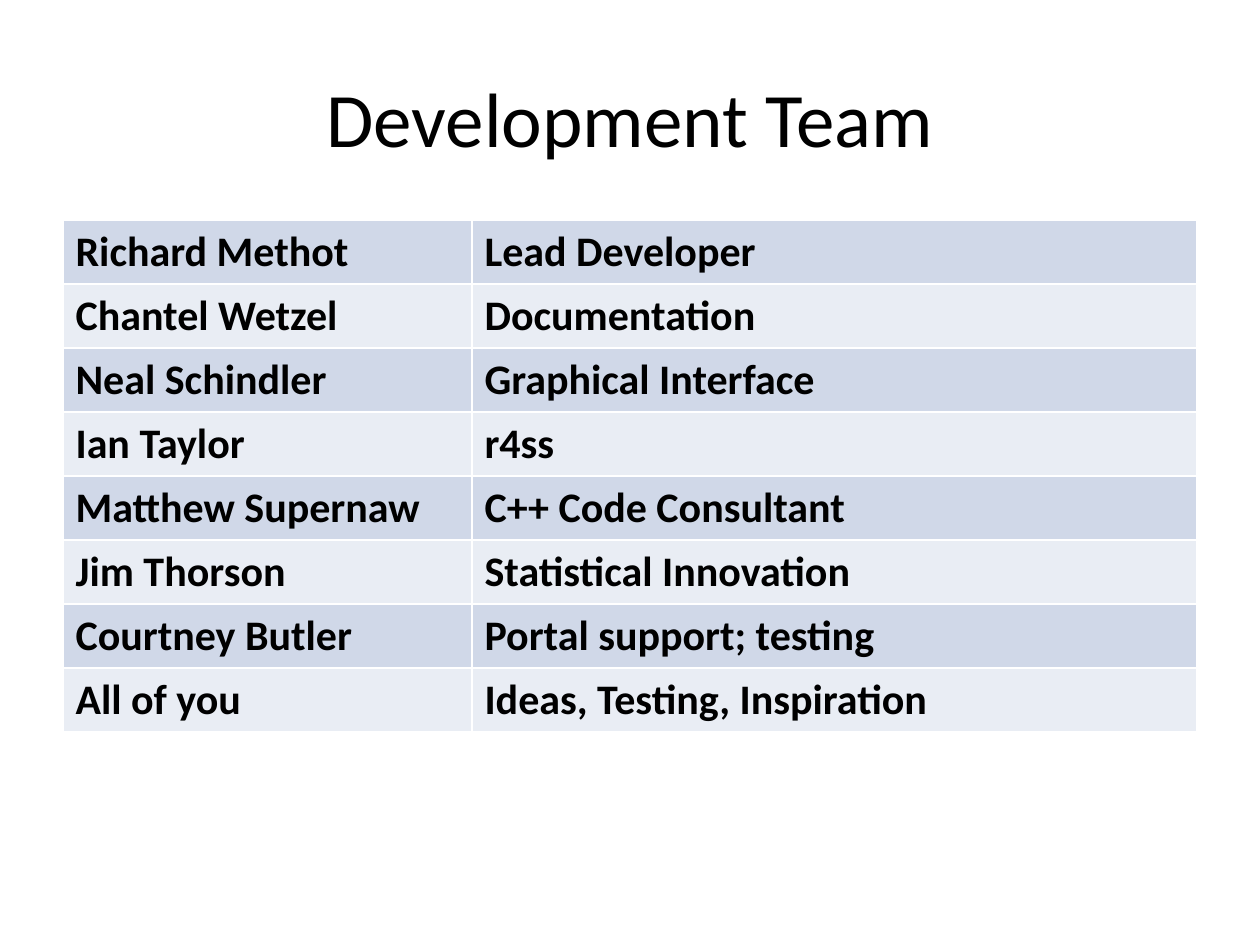
from pptx import Presentation
from pptx.dml.color import RGBColor
from pptx.enum.text import MSO_ANCHOR, PP_ALIGN
from pptx.util import Pt

CENTER = PP_ALIGN.CENTER
MIDDLE = MSO_ANCHOR.MIDDLE
FONT = "Calibri"
COLORS = {"text": "000000", "odd_row": "D0D8E8", "even_row": "E9EDF4"}
TEAM = [
    ("Richard Methot", "Lead Developer"),
    ("Chantel Wetzel", "Documentation"),
    ("Neal Schindler", "Graphical Interface"),
    ("Ian Taylor", "r4ss"),
    ("Matthew Supernaw", "C++ Code Consultant"),
    ("Jim Thorson", "Statistical Innovation"),
    ("Courtney Butler", "Portal support; testing"),
    ("All of you", "Ideas, Testing, Inspiration"),
]
COLUMN_WIDTHS = (409, 725)
ROW_HEIGHT = 64


def px(length):
    return round(length * 914400 / 126)


def add_text(paragraph, wording, size, bold=False):
    run = paragraph.add_run()
    run.text = wording
    run.font.name = FONT
    run.font.size = Pt(size)
    run.font.bold = bold
    run.font.color.rgb = RGBColor.from_string(COLORS["text"])


prs = Presentation()
prs.slide_width, prs.slide_height = px(1260), px(945)
slide = prs.slides.add_slide(prs.slide_layouts[6])

title = slide.shapes.add_textbox(px(63), px(38), px(1134), px(158)).text_frame
title.word_wrap = True
title.vertical_anchor = MIDDLE
title.paragraphs[0].alignment = CENTER
add_text(title.paragraphs[0], "Development Team", 44)

roster = slide.shapes.add_table(
    len(TEAM), len(COLUMN_WIDTHS), px(63), px(220),
    px(sum(COLUMN_WIDTHS)), px(ROW_HEIGHT * len(TEAM)),
).table
roster.first_row = False
for column, width in zip(roster.columns, COLUMN_WIDTHS):
    column.width = px(width)

for index, member in enumerate(TEAM):
    roster.rows[index].height = px(ROW_HEIGHT)
    band = COLORS["even_row" if index % 2 else "odd_row"]
    for cell, wording in zip(roster.rows[index].cells, member):
        cell.fill.solid()
        cell.fill.fore_color.rgb = RGBColor.from_string(band)
        add_text(cell.text_frame.paragraphs[0], wording, 24, bold=True)

prs.save("out.pptx")
